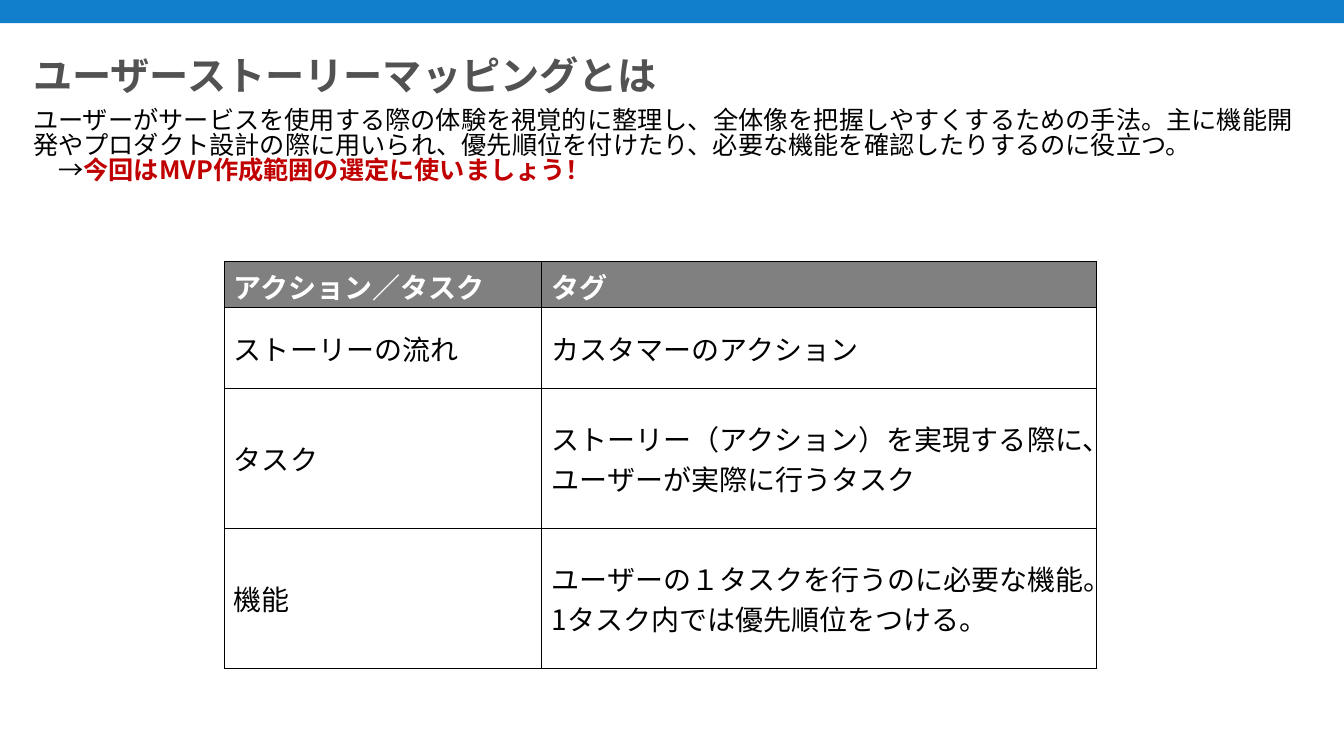
from lxml import etree
from pptx import Presentation
from pptx import util as u
from pptx.dml.color import RGBColor
from pptx.enum import shapes, text
from pptx.oxml import ns

FONT = "Noto Sans CJK JP"
COLORS = {"band": "127FCD", "title": "525252", "body": "000000",
          "accent": "C00000", "header": "808080", "white": "FFFFFF"}
INTRO = ("ユーザーがサービスを使用する際の体験を視覚的に整理し、全体像を把握しやすくするための手法。"
         "主に機能開発やプロダクト設計の際に用いられ、優先順位を付けたり、"
         "必要な機能を確認したりするのに役立つ。")
ROWS = [("アクション／タスク", "タグ"),
        ("ストーリーの流れ", "カスタマーのアクション"),
        ("タスク", "ストーリー（アクション）を実現する際に、ユーザーが実際に行うタスク"),
        ("機能", "ユーザーの１タスクを行うのに必要な機能。\n1タスク内では優先順位をつける。")]
COLUMN_WIDTHS = (3.15, 5.5)
ROW_HEIGHTS = (0.46, 0.8, 1.39, 1.39)


def rgb(name):
    """Return the named palette colour."""
    return RGBColor.from_string(COLORS[name])


def style(paragraph, size, color, bold=False):
    """Set the font of a whole paragraph, for Latin and Japanese text."""
    font = paragraph.font
    font.size, font.bold, font.name = u.Pt(size), bold, FONT
    font.color.rgb = rgb(color)
    latin = paragraph._p.find(".//" + ns.qn("a:latin"))
    latin.addnext(latin.makeelement(ns.qn("a:ea"), {"typeface": FONT}))


def add_band(slide, left, top, width, height):
    """Draw the coloured band along the top edge."""
    band = slide.shapes.add_shape(shapes.MSO_SHAPE.RECTANGLE, left, top, width, height)
    band.shadow.inherit = False
    band.fill.solid()
    band.fill.fore_color.rgb = rgb("band")
    band.line.fill.background()


def place_title(slide, left, top, width, height):
    """Place and format the slide title."""
    title = slide.shapes.title
    title.left, title.top, title.width, title.height = left, top, width, height
    frame = title.text_frame
    frame.text = "ユーザーストーリーマッピングとは"
    frame.vertical_anchor = text.MSO_ANCHOR.MIDDLE
    frame.auto_size = text.MSO_AUTO_SIZE.NONE
    heading = frame.paragraphs[0]
    heading.alignment = text.PP_ALIGN.LEFT
    heading.line_spacing = 0.9
    style(heading, 28, "title", True)


def add_intro(slide, left, top, width, height):
    """Write the explanation and the highlighted call to action."""
    frame = slide.shapes.add_textbox(left, top, width, height).text_frame
    frame.word_wrap = True
    explanation, call = frame.paragraphs[0], frame.add_paragraph()
    explanation.text = INTRO
    call.add_run().text = "\u3000→".replace("\u3000", "　")
    highlight = call.add_run()
    highlight.text = "今回はMVP作成範囲の選定に使いましょう！"
    for paragraph in (explanation, call):
        paragraph.line_spacing = 0.82
        style(paragraph, 18, "body")
    highlight.font.bold = True
    highlight.font.color.rgb = rgb("accent")


def add_borders(cell, widths):
    """Draw black borders, given points for left, right, top and bottom."""
    properties = cell._tc.get_or_add_tcPr()
    for index, (side, width) in enumerate(zip("LRTB", widths)):
        line = etree.Element(ns.qn(f"a:ln{side}"), w=str(u.Pt(width)))
        fill = etree.SubElement(line, ns.qn("a:solidFill"))
        etree.SubElement(fill, ns.qn("a:srgbClr"), val=COLORS["body"])
        properties.insert(index, line)


def add_tag_table(slide, left, top, width, height):
    """Build the table that explains each tag."""
    table = slide.shapes.add_table(len(ROWS), len(COLUMN_WIDTHS),
                                   left, top, width, height).table
    for column, column_width in zip(table.columns, COLUMN_WIDTHS):
        column.width = u.Inches(column_width)
    for r, (row_height, labels) in enumerate(zip(ROW_HEIGHTS, ROWS)):
        table.rows[r].height = u.Inches(row_height)
        header = r == 0
        for c, label in enumerate(labels):
            cell = table.cell(r, c)
            cell.text = label
            cell.vertical_anchor = text.MSO_ANCHOR.MIDDLE
            if header:
                cell.fill.solid()
                cell.fill.fore_color.rgb = rgb("header")
            else:
                cell.fill.background()
            add_borders(cell, (0.5, 1, 0.5, 0.5) if c == 0 else (1, 0.5, 0.5, 0.5))
            for paragraph in cell.text_frame.paragraphs:
                style(paragraph, 20, "white" if header else "body", header)


def main():
    """Build the slide and save it."""
    deck = Presentation()
    deck.slide_width, deck.slide_height = u.Inches(13.33), u.Inches(7.5)
    slide = deck.slides.add_slide(deck.slide_layouts[5])
    add_band(slide, 0, 0, deck.slide_width, u.Inches(0.23))
    left, width = u.Inches(0.23), u.Inches(12.86)
    place_title(slide, left, u.Inches(0.51), width, u.Inches(0.53))
    add_intro(slide, left, u.Inches(1.04), width, u.Inches(1.01))
    add_tag_table(slide, u.Inches(2.22), u.Inches(2.59),
                  u.Inches(sum(COLUMN_WIDTHS)), u.Inches(sum(ROW_HEIGHTS)))


    deck.save("out.pptx")


if __name__ == "__main__":
    main()
